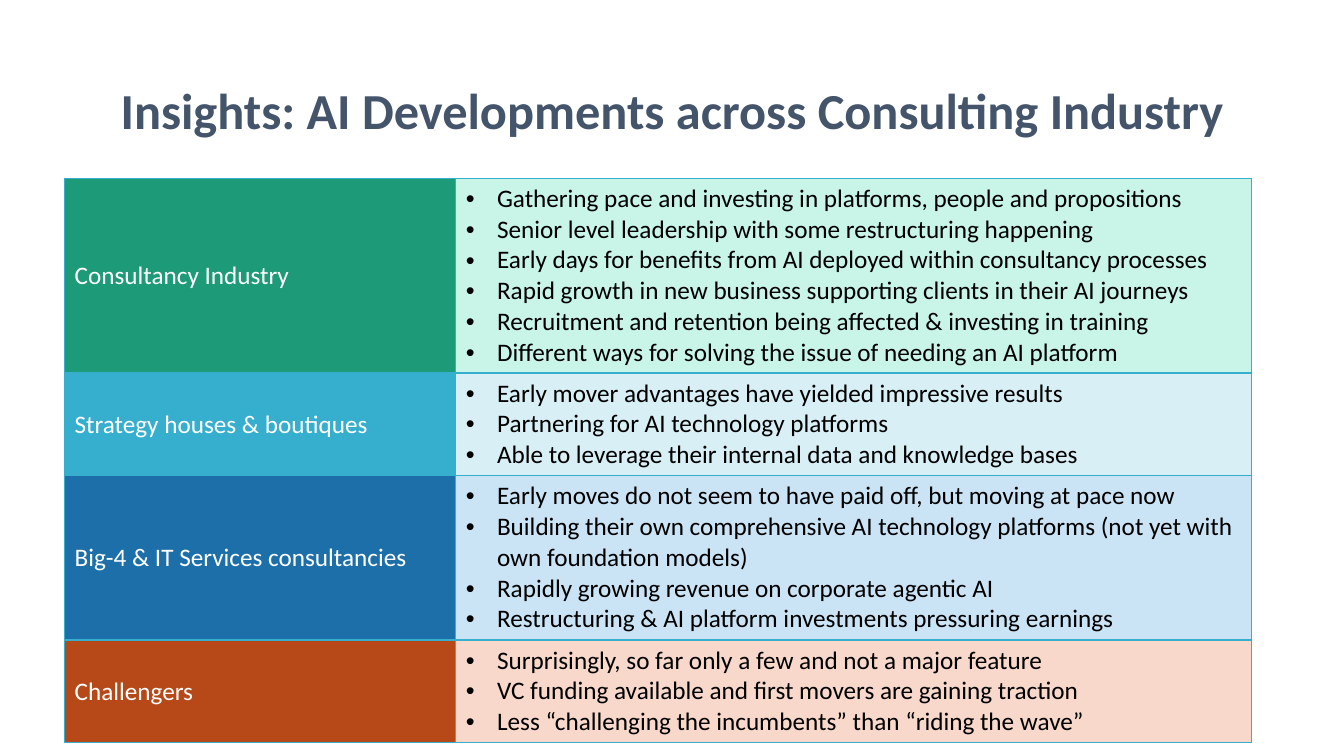
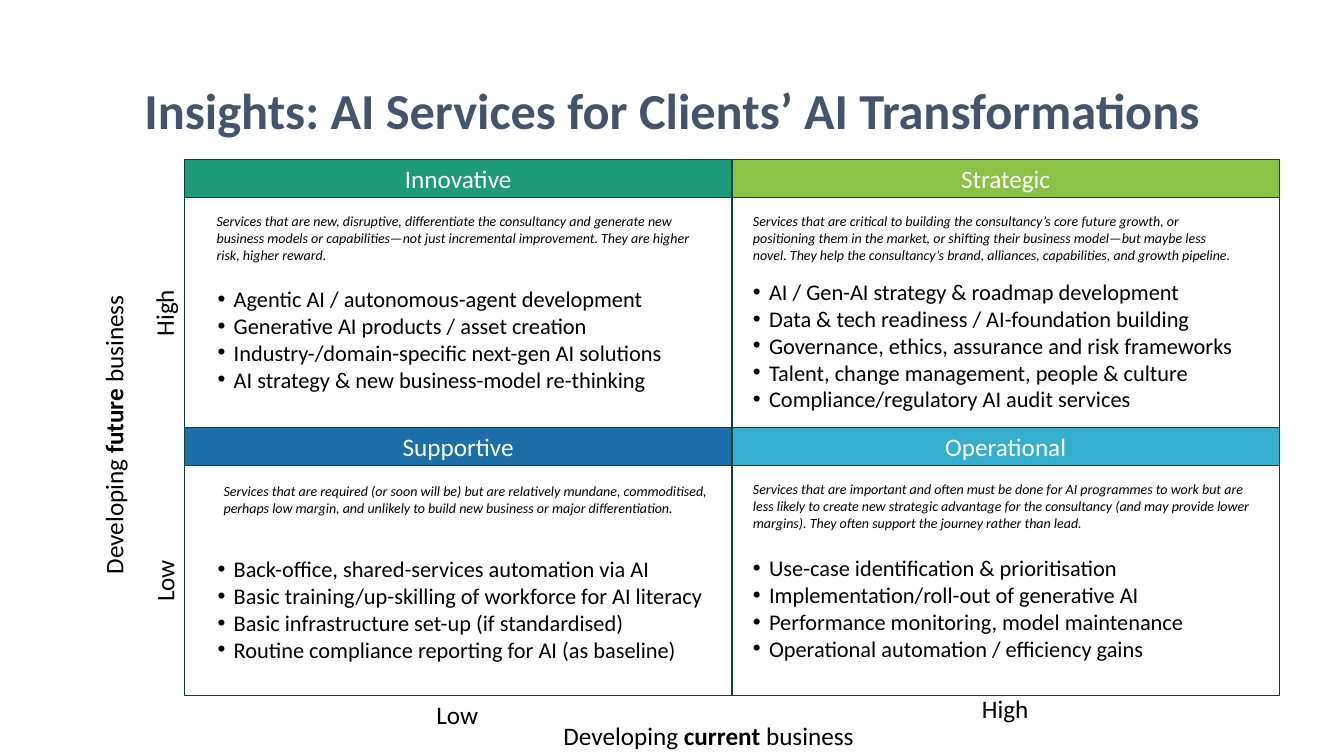
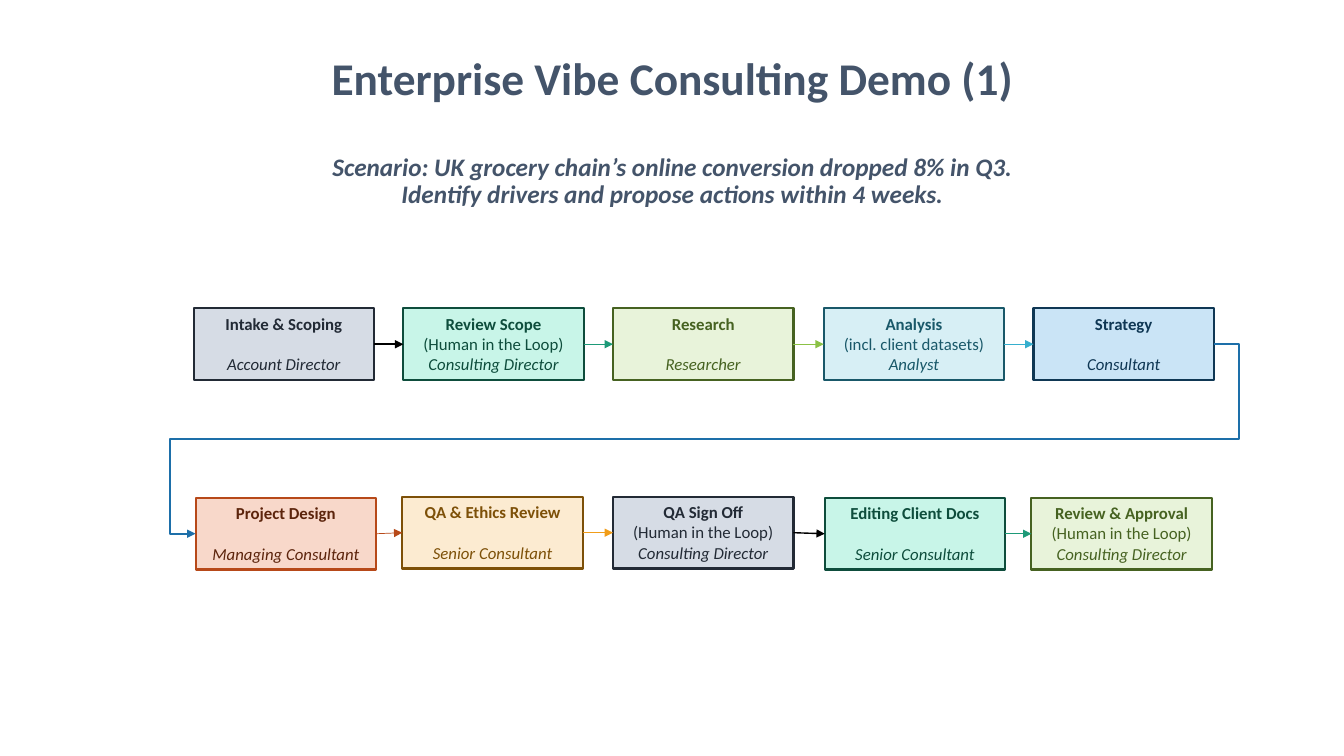
from pptx import Presentation
from pptx import util as u
from pptx.dml.color import RGBColor
from pptx.enum import shapes, text
from pptx.oxml import parse_xml
from pptx.oxml.ns import nsdecls, qn

WHITE = RGBColor(0xFF, 0xFF, 0xFF)
BLACK = RGBColor(0x00, 0x00, 0x00)
SLATE = RGBColor(0x44, 0x54, 0x6A)
INK = RGBColor(0x22, 0x2A, 0x35)
INK_PALE = RGBColor(0xD6, 0xDC, 0xE5)
GREEN = RGBColor(0x1D, 0x9A, 0x78)
GREEN_PALE = RGBColor(0xC8, 0xF5, 0xE8)
GREEN_DARK = RGBColor(0x0E, 0x4D, 0x3C)
FRAME = RGBColor(0x0D, 0x43, 0x35)
LIME = RGBColor(0x8B, 0xC1, 0x45)
LIME_PALE = RGBColor(0xE8, 0xF3, 0xDA)
LIME_DARK = RGBColor(0x46, 0x62, 0x21)
CYAN = RGBColor(0x36, 0xAF, 0xCE)
CYAN_PALE = RGBColor(0xD7, 0xEF, 0xF5)
CYAN_DARK = RGBColor(0x19, 0x58, 0x69)
BLUE = RGBColor(0x1D, 0x6F, 0xA9)
BLUE_PALE = RGBColor(0xCA, 0xE4, 0xF6)
BLUE_DARK = RGBColor(0x0F, 0x37, 0x54)
RUST = RGBColor(0xB7, 0x49, 0x19)
RUST_PALE = RGBColor(0xF8, 0xD8, 0xCA)
RUST_DARK = RGBColor(0x5C, 0x24, 0x0C)
AMBER = RGBColor(0xF1, 0x9D, 0x19)
AMBER_PALE = RGBColor(0xFC, 0xEB, 0xD1)
AMBER_DARK = RGBColor(0x7D, 0x50, 0x08)

CENTER = text.PP_ALIGN.CENTER
LEFT = text.PP_ALIGN.LEFT
TOP = text.MSO_ANCHOR.TOP
MIDDLE = text.MSO_ANCHOR.MIDDLE
BOLD = {"bold": True}
ITALIC = {"italic": True}


class Deck:
    """Holds the shared style and the current slide."""

    font_name = "Calibri"
    title_box = (0.92, 11.5, 1.45)

    def __init__(self):
        self.presentation = Presentation()
        self.presentation.slide_width = u.Inches(13.33)
        self.presentation.slide_height = u.Inches(7.5)
        self.slide = None

    def new_slide(self):
        self.slide = self.presentation.slides.add_slide(self.presentation.slide_layouts[6])

    def set_text(self, frame, paragraphs, size=18, color=BLACK, align=LEFT, indent=0, **base):
        for index, runs in enumerate(paragraphs):
            paragraph = frame.paragraphs[0] if index == 0 else frame.add_paragraph()
            paragraph.alignment = align
            if indent:
                self.bullet(paragraph, indent)
            for words, extra in [(runs, {})] if isinstance(runs, str) else runs:
                run = paragraph.add_run()
                run.text = words
                run.font.color.rgb = color
                formats = {"name": self.font_name, "size": u.Pt(size), "bold": False, **base, **extra}
                for name, value in formats.items():
                    setattr(run.font, name, value)

    def bullet(self, paragraph, indent):
        properties = paragraph._p.get_or_add_pPr()
        properties.set("marL", str(u.Inches(indent)))
        properties.set("indent", str(-u.Inches(indent)))
        properties.append(parse_xml(f'<a:buFont {nsdecls("a")} typeface="Arial"/>'))
        properties.append(parse_xml(f'<a:buChar {nsdecls("a")} char="•"/>'))

    def textbox(self, box, paragraphs, wrap=True, anchor=TOP, rotation=0, **style):
        shape = self.slide.shapes.add_textbox(*map(u.Inches, box))
        shape.rotation = rotation
        frame = shape.text_frame
        for name, value in {"word_wrap": wrap, "vertical_anchor": anchor}.items():
            setattr(frame, name, value)
        self.set_text(frame, paragraphs, **style)
        return frame

    def title(self, words, top=0.4, size=36, subtitle=()):
        left, width, height = self.title_box
        lines = [[(line, {"size": u.Pt(18), **ITALIC})] for line in subtitle]
        frame = self.textbox((left, top, width, height), [words, *lines], anchor=MIDDLE,
                             size=size, color=SLATE, align=CENTER, bold=True)
        for paragraph in frame.paragraphs:
            paragraph.line_spacing = 0.9
        if subtitle:
            frame.paragraphs[1].space_before = u.Pt(35.6)

    def rectangle(self, box, line, line_width=1, fill=None, paragraphs=(), anchor=MIDDLE, **style):
        shape = self.slide.shapes.add_shape(shapes.MSO_SHAPE.RECTANGLE, *map(u.Inches, box))
        shape.shadow.inherit = False
        if fill is None:
            shape.fill.background()
        else:
            shape.fill.solid()
            shape.fill.fore_color.rgb = fill
        shape.line.color.rgb = line
        shape.line.width = u.Pt(line_width)
        shape.text_frame.vertical_anchor = anchor
        self.set_text(shape.text_frame, paragraphs, align=CENTER, **style)
        return shape

    def step(self, box, heading, detail, role, fill, line, color):
        lines = [[(heading, BOLD)], [(role, ITALIC)]]
        if detail:
            lines.insert(1, detail)
        shape = self.rectangle(box, line, 1.5, fill, lines, TOP, size=12, color=color)
        if not detail:
            shape.text_frame.paragraphs[-1].space_before = u.Pt(14.6)
        return shape

    def arrow(self, start, end, color, width, bends=()):
        kind = shapes.MSO_CONNECTOR.ELBOW if bends else shapes.MSO_CONNECTOR.STRAIGHT
        connector = self.slide.shapes.add_connector(kind, 0, 0, 0, 0)
        connector.begin_connect(start, 3)
        connector.end_connect(end, 1)
        connector.line.color.rgb = color
        connector.line.width = u.Pt(width)
        properties = connector._element.spPr
        if bends:
            geometry = properties.find(qn("a:prstGeom"))
            geometry.set("prst", "bentConnector5")
            guides = geometry.get_or_add_avLst()
            for index, value in enumerate(bends, 1):
                guides.append(parse_xml(
                    f'<a:gd {nsdecls("a")} name="adj{index}" fmla="val {value}"/>'))
        properties.find(qn("a:ln")).append(
            parse_xml(f'<a:tailEnd {nsdecls("a")} type="triangle"/>'))
        properties.append(parse_xml(f'<a:effectLst {nsdecls("a")}/>'))

    def table(self, left, top, widths, heights):
        box = (left, top, sum(widths), sum(heights))
        table = self.slide.shapes.add_table(
            len(heights), len(widths), *map(u.Inches, box)).table
        for name in ("first_row", "horz_banding"):
            setattr(table, name, False)
        for column, width in zip(table.columns, widths):
            column.width = u.Inches(width)
        for row, height in zip(table.rows, heights):
            row.height = u.Inches(height)
        return table

    def cell(self, cell, paragraphs, fill, border, anchor=TOP, **style):
        cell.fill.solid()
        cell.fill.fore_color.rgb = fill
        cell.vertical_anchor = anchor
        self.set_text(cell.text_frame, paragraphs, **style)
        properties = cell._tc.get_or_add_tcPr()
        for index, side in enumerate("LRTB"):
            properties.insert(index, parse_xml(
                f'<a:ln{side} {nsdecls("a")} w="{u.Pt(1)}"><a:solidFill>'
                f'<a:srgbClr val="{border}"/></a:solidFill></a:ln{side}>'))


def industry_slide(deck):
    """Table of developments by type of consultancy."""
    deck.new_slide()
    deck.title("Insights: AI Developments across Consulting Industry")
    rows = [
        ("Consultancy Industry", GREEN, GREEN_PALE, 1.93, [
            "Gathering pace and investing in platforms, people and propositions",
            "Senior level leadership with some restructuring happening",
            "Early days for benefits from AI deployed within consultancy processes",
            "Rapid growth in new business supporting clients in their AI journeys",
            "Recruitment and retention being affected & investing in training",
            "Different ways for solving the issue of needing an AI platform"]),
        ("Strategy houses & boutiques", CYAN, CYAN_PALE, 1.02, [
            "Early mover advantages have yielded impressive results",
            "Partnering for AI technology platforms",
            "Able to leverage their internal data and knowledge bases"]),
        ("Big-4 & IT Services consultancies", BLUE, BLUE_PALE, 1.63, [
            "Early moves do not seem to have paid off, but moving at pace now",
            "Building their own comprehensive AI technology platforms (not yet with "
            "own foundation models)",
            "Rapidly growing revenue on corporate agentic AI",
            "Restructuring & AI platform investments pressuring earnings"]),
        ("Challengers", RUST, RUST_PALE, 1.02, [
            "Surprisingly, so far only a few and not a major feature",
            "VC funding available and first movers are gaining traction",
            "Less “challenging the incumbents” than “riding the wave”"]),
    ]
    table = deck.table(0.64, 1.77, [3.88, 7.89], [row[3] for row in rows])
    for index, (name, strong, pale, _, points) in enumerate(rows):
        deck.cell(table.cell(index, 0), [name], strong, CYAN, MIDDLE, color=WHITE)
        deck.cell(table.cell(index, 1), points, pale, CYAN, indent=0.31)


def services_slide(deck):
    """Two by two matrix of services."""
    deck.new_slide()
    deck.title("Insights: AI Services for Clients’ AI Transformations")
    left, top, width, header, body = 1.83, 1.58, 5.43, 0.38, 2.28
    quadrants = [
        ("Innovative", GREEN, 0, 0, (2.05, 2.06, 4.99, 0.61),
         "Services that are new, disruptive, differentiate the consultancy and generate new "
         "business models or capabilities—not just incremental improvement. They are higher "
         "risk, higher reward.",
         (2.06, 2.78, 4.99, 1.18),
         ["Agentic AI / autonomous-agent development",
          "Generative AI products / asset creation",
          "Industry-/domain-specific next-gen AI solutions",
          "AI strategy & new business-model re-thinking"]),
        ("Strategic", LIME, 1, 0, (7.37, 2.06, 5.04, 0.61),
         "Services that are critical to building the consultancy’s core future growth, or "
         "positioning them in the market, or shifting their business model—but maybe less "
         "novel. They help the consultancy’s brand, alliances, capabilities, and growth pipeline.",
         (7.37, 2.71, 5.3, 1.45),
         ["AI / Gen-AI strategy & roadmap development",
          "Data & tech readiness / AI-foundation building",
          "Governance, ethics, assurance and risk frameworks",
          "Talent, change management, people & culture",
          "Compliance/regulatory AI audit services"]),
        ("Supportive", BLUE, 0, 1, (2.12, 4.74, 5.06, 0.44),
         "Services that are required (or soon will be) but are relatively mundane, commoditised, "
         "perhaps low margin, and unlikely to build new business or major differentiation.",
         (2.06, 5.46, 5.06, 1.18),
         ["Back-office, shared-services automation via AI",
          "Basic training/up-skilling of workforce for AI literacy",
          "Basic infrastructure set-up (if standardised)",
          "Routine compliance reporting for AI (as baseline)"]),
        ("Operational", CYAN, 1, 1, (7.37, 4.72, 5.13, 0.61),
         "Services that are important and often must be done for AI programmes to work but are "
         "less likely to create new strategic advantage for the consultancy (and may provide "
         "lower margins). They often support the journey rather than lead.",
         (7.37, 5.45, 4.7, 1.18),
         ["Use-case identification & prioritisation",
          "Implementation/roll-out of generative AI",
          "Performance monitoring, model maintenance",
          "Operational automation / efficiency gains"]),
    ]
    for name, color, column, row, note_box, note, list_box, services in quadrants:
        x, y = left + column * width, top + row * (header + body)
        deck.rectangle((x, y, width, header), FRAME, fill=color, paragraphs=[name], color=WHITE)
        deck.rectangle((x, y + header, width, body), FRAME)
        deck.textbox(note_box, [note], size=10, **ITALIC)
        deck.textbox(list_box, services, size=16, indent=0.16)

    axis_labels = [
        ((5.49, 7.1, 3.1, 0.4), 0, [("Developing ", {}), ("current", BOLD), (" business", {})]),
        ((4.23, 6.89, 0.62, 0.4), 0, "Low"),
        ((9.64, 6.83, 0.67, 0.4), 0, "High"),
        ((1.32, 5.56, 0.62, 0.4), 270, "Low"),
        ((1.29, 2.9, 0.67, 0.4), 270, "High"),
        ((-0.37, 4.1, 2.99, 0.4), 270,
         [("Developing ", {}), ("future", BOLD), (" business", {})]),
    ]
    for box, rotation, label in axis_labels:
        deck.textbox(box, [label], wrap=False, rotation=rotation)


def demo_slide(deck):
    """Ten step workflow in two rows."""
    deck.new_slide()
    deck.title("Enterprise Vibe Consulting Demo (1)", 0.59, 32.4, [
        "Scenario: UK grocery chain’s online conversion dropped 8% in Q3.",
        "Identify drivers and propose actions within 4 weeks."])
    human = "(Human in the Loop)"
    ink = (INK_PALE, INK, INK)
    green = (GREEN_PALE, GREEN_DARK, GREEN_DARK)
    lime = (LIME_PALE, LIME_DARK, LIME_DARK)
    cyan = (CYAN_PALE, CYAN_DARK, CYAN_DARK)
    blue = (BLUE_PALE, BLUE_DARK, BLUE_DARK)
    rust = (RUST_PALE, RUST, RUST_DARK)
    amber = (AMBER_PALE, AMBER_DARK, AMBER_DARK)
    steps = [
        (1.92, 3.06, "Intake & Scoping", "", "Account Director", ink),
        (4, 3.06, "Review Scope", human, "Consulting Director", green),
        (6.08, 3.06, "Research", "", "Researcher", lime),
        (8.17, 3.06, "Analysis", "(incl. client datasets)", "Analyst", cyan),
        (10.25, 3.06, "Strategy", "", "Consultant", blue),
        (1.94, 4.94, "Project Design", "", "Managing Consultant", rust),
        (3.99, 4.93, "QA & Ethics Review", "", "Senior Consultant", amber),
        (6.08, 4.93, "QA Sign Off", human, "Consulting Director", ink),
        (8.18, 4.94, "Editing Client Docs", "", "Senior Consultant", green),
        (10.23, 4.94, "Review & Approval", human, "Consulting Director", lime),
    ]
    boxes = [deck.step((x, y, 1.79, 0.71), heading, detail, role, *colors)
             for x, y, heading, detail, role, colors in steps]
    arrows = [(BLACK, 1.5), (GREEN, 0.5), (LIME, 0.5), (CYAN, 0.5),
              (BLUE, 1.5, (-2500, 50000, 102500)),
              (RUST, 0.5), (AMBER, 0.5), (BLACK, 1), (GREEN, 1)]
    for start, end, look in zip(boxes, boxes[1:], arrows):
        deck.arrow(start, end, *look)


def main():
    """Builds and saves the presentation."""
    deck = Deck()
    for build in (industry_slide, services_slide, demo_slide):
        build(deck)
    deck.presentation.save("out.pptx")


if __name__ == "__main__":
    main()
